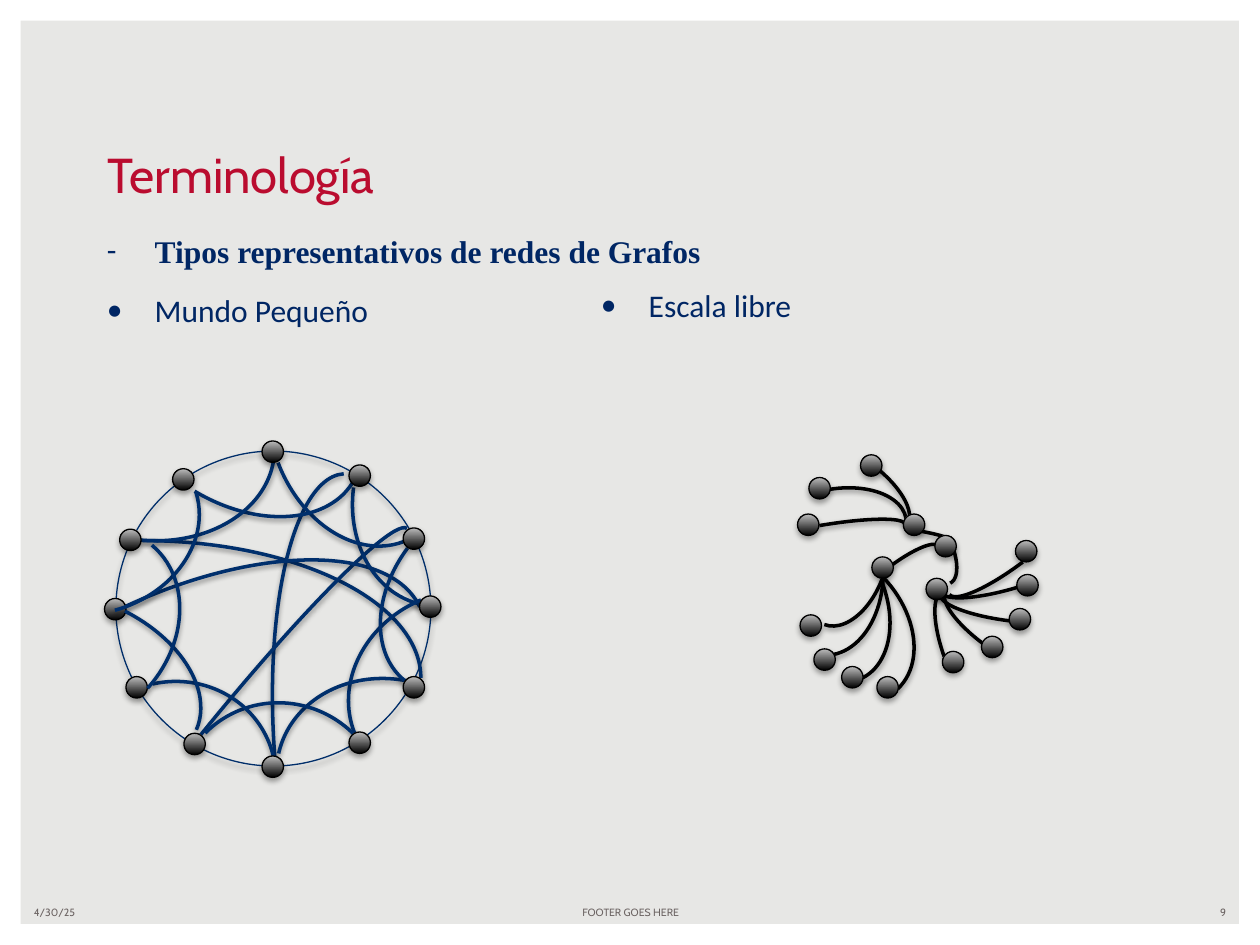
from lxml import etree
from pptx import Presentation
from pptx.dml.color import RGBColor
from pptx.enum.shapes import MSO_SHAPE
from pptx.enum.text import MSO_ANCHOR, PP_ALIGN
from pptx.oxml.ns import qn
from pptx.util import Cm, Pt

ARC, OVAL, FRAME = MSO_SHAPE.ARC, MSO_SHAPE.OVAL, MSO_SHAPE.FRAME
LEFT, CENTER, RIGHT, JUSTIFY = PP_ALIGN.LEFT, PP_ALIGN.CENTER, PP_ALIGN.RIGHT, PP_ALIGN.JUSTIFY
TOP, MIDDLE, BOTTOM = MSO_ANCHOR.TOP, MSO_ANCHOR.MIDDLE, MSO_ANCHOR.BOTTOM

NAVY, RED, GREY = "002664", "BA0C2F", "6C6463"
RING_BLUE, ARC_BLUE, BLACK = "002E6A", "002F6C", "000000"
NODE_SIZE = 0.17

# Boxes are left, top, width, height in inches.
TITLE = ("Terminología", (0.75, 1.09, 8.5, 0.57))
HEADING = dict(text="Tipos representativos de redes de Grafos", bullet="-", align=JUSTIFY,
               spacing=1.15, font=dict(name="Times New Roman", bold=True))
SMALL_WORLD = dict(text="Mundo Pequeño", bullet="•")
SCALE_FREE = dict(text="Escala libre", bullet="•")
COLUMNS = [  # box, top inset, paragraphs
    ((0.75, 1.75, 5.17, 5), 0.05, [HEADING, SMALL_WORLD]),
    ((4.67, 1.75, 5.17, 5), 0.52, [SCALE_FREE]),
]
FOOTERS = [
    ("4/30/25", (0.17, 7.14, 2.33, 0.2), LEFT),
    ("FOOTER GOES HERE", (3.42, 7.14, 3.17, 0.2), CENTER),
    ("9", (7.5, 7.14, 2.33, 0.2), RIGHT),
]

# Arcs: box, rotation, then start and end adjustments where they differ from a quarter turn.
RING = (0.92, 3.58, 2.5, 2.5)
LONG_TURN = (162, 2.03)
RING_ARCS = [
    ((-1.08, 4.29, 4.42, 2.18), 0),
    ((0.73, 5.2, 4.28, 1.39), 266.2, (158.82, 0)),
    ((-0.58, 5.77, 4.68, 0.49), 308.9),
    ((-0.7, 4.72, 4.23, 1.98), 335),
    ((2.8, 3.11, 1.39, 1.7), 187.6),
    ((2.16, 2.48, 1.42, 1.88), 159.2),
    ((1.2, 2.25, 1.42, 2.08), 121),
    ((0.42, 2.53, 1.53, 1.99), 95.7, LONG_TURN),
    ((2.86, 4.59, 1.57, 1.79), 247.2),
    ((2.3, 5.28, 1.57, 1.79), 282.6),
    ((3.11, 3.87, 1.25, 1.71), 216.8),
    ((1.4, 5.57, 1.65, 1.68), 314.8),
    ((0.57, 5.41, 1.62, 1.55), 347.5),
]
FRONT_ARCS = [
    ((0.04, 3.31, 1.4, 1.71), 72.4, LONG_TURN),
    ((-0.33, 4.76, 1.97, 1.28), 23.5, (166.82, 0)),
    ((-0.04, 4.13, 1.4, 1.71), 39.7, LONG_TURN),
]
HUB_ARCS = [
    ((5.85, 4.17, 1.34, 0.2), 350.4),
    ((6.07, 3.88, 1.13, 0.66), 350.4),
    ((5.9, 4.09, 1.31, 0.91), 90),
    ((5.92, 4.33, 1.31, 0.91), 67.6),
    ((5.91, 4.42, 1.44, 1.05), 46.6),
    ((7.46, 4.65, 1.16, 0.28), 186.9),
    ((7.44, 4.37, 1.24, 0.29), 162.7),
    ((7.41, 4.2, 1.24, 0.29), 142.9),
    ((6.36, 3.67, 0.94, 0.41), 38.4),
    ((6.22, 4.19, 1, 0.6), 110.8),
    ((7.41, 4.84, 0.97, 0.3), 216.5),
    ((7.15, 5.01, 0.97, 0.3), 250.4),
    ((6.68, 4.49, 0.85, 0.2), 322.6),
    ((6.87, 4.2, 0.66, 0.07), 8),
    ((7.09, 4.2, 0.63, 0.29), 64.2),
]
HUB_NODES = [
    (7.42, 4.25), (7.17, 4.08), (6.92, 4.42), (6.35, 4.88), (6.46, 5.15), (6.68, 5.29),
    (6.96, 5.37), (7.48, 5.17), (7.79, 5.05), (8.01, 4.83), (8.07, 4.56), (8.06, 4.29),
    (7.35, 4.59), (6.33, 4.08), (6.42, 3.79), (6.83, 3.61),
]
RING_NODES = [
    (2.08, 3.5), (2.77, 3.69), (1.37, 3.72), (1.46, 5.82), (2.77, 5.81), (0.83, 4.75),
    (0.95, 4.2), (3.33, 4.73), (2.08, 6), (3.2, 5.37), (3.2, 4.19), (1, 5.37),
]


def length(inches):
    return Cm(inches * 2.54)


def lengths(box):
    return [length(side) for side in box]


def color(hex_value):
    return RGBColor.from_string(hex_value)


def add_shadow(shape, opacity, distance):
    """Add a soft shadow straight below; opacity in percent, distance in points."""
    shape.shadow.inherit = False
    effects = shape._element.spPr.find(qn("a:effectLst"))
    outer = etree.SubElement(effects, qn("a:outerShdw"), blurRad=str(Pt(3.1)),
                             dist=str(Pt(distance)), dir="5400000", rotWithShape="0")
    tint = etree.SubElement(outer, qn("a:srgbClr"), val=BLACK)
    etree.SubElement(tint, qn("a:alpha"), val=str(opacity * 1000))


def add_outline(shapes, kind, box, line_color, width):
    shape = shapes.add_shape(kind, *lengths(box))
    shape.fill.background()
    shape.line.color.rgb = color(line_color)
    shape.line.width = Pt(width)
    return shape


def add_arcs(shapes, arcs, line_color):
    for box, rotation, *turn in arcs:
        arc = add_outline(shapes, ARC, box, line_color, 2)
        arc.rotation = rotation
        for start_end in turn:
            arc.adjustments[0], arc.adjustments[1] = start_end
        add_shadow(arc, 38, 1.6)


def add_nodes(shapes, places):
    for left, top in places:
        node = add_outline(shapes, OVAL, (left, top, NODE_SIZE, NODE_SIZE), BLACK, 0.75)
        node.fill.gradient()
        node.fill.gradient_angle = 90
        for stop, position, shade in zip(node.fill.gradient_stops, (0, 1), (BLACK, "BDBDBD")):
            stop.position = position
            stop.color.rgb = color(shade)
        add_shadow(node, 35, 1.8)


def write(paragraph, text, size, text_color, **font):
    run = paragraph.add_run()
    run.text = text
    run.font.color.rgb = color(text_color)
    for key, value in dict(font, size=Pt(size)).items():
        setattr(run.font, key, value)


def add_text_frame(slide, box, anchor):
    frame = slide.shapes.add_textbox(*lengths(box)).text_frame
    frame.word_wrap = True
    frame.vertical_anchor = anchor
    return frame


def write_bullet(paragraph, text, bullet, align=LEFT, spacing=1.0, font=None):
    paragraph.alignment = align
    paragraph.line_spacing = spacing
    paragraph.space_after = Pt(12)
    properties = paragraph._p.get_or_add_pPr()
    properties.set("marL", str(length(0.38)))
    properties.set("indent", str(-length(0.38)))
    etree.SubElement(properties, qn("a:buFont"), typeface="Calibri")
    etree.SubElement(properties, qn("a:buChar"), char=bullet)
    write(paragraph, text, 18, NAVY, **(font or dict(name="Calibri")))


def main():
    deck = Presentation()
    deck.slide_width, deck.slide_height = lengths((10, 7.5))
    slide = deck.slides.add_slide(deck.slide_layouts[5])
    slide.background.fill.solid()
    slide.background.fill.fore_color.rgb = color("E7E7E5")

    border = slide.shapes.add_shape(FRAME, 0, 0, deck.slide_width, deck.slide_height)
    border.adjustments[0] = 0.022
    border.fill.solid()
    border.fill.fore_color.rgb = color("FFFFFF")
    border.line.fill.background()
    border.shadow.inherit = False

    title = slide.shapes.title
    title_text, title_box = TITLE
    title.left, title.top, title.width, title.height = lengths(title_box)
    title.text_frame.vertical_anchor = BOTTOM
    heading = title.text_frame.paragraphs[0]
    heading.alignment = LEFT
    write(heading, title_text, 28, RED, name="Cabin")

    for box, inset, bullets in COLUMNS:
        frame = add_text_frame(slide, box, TOP)
        frame.margin_top = length(inset)
        for index, bullet in enumerate(bullets):
            write_bullet(frame.add_paragraph() if index else frame.paragraphs[0], **bullet)

    for text, box, align in FOOTERS:
        footer = add_text_frame(slide, box, MIDDLE).paragraphs[0]
        footer.alignment = align
        write(footer, text, 6, GREY, name="Cabin")

    add_shadow(add_outline(slide.shapes, OVAL, RING, RING_BLUE, 0.75), 35, 1.8)
    add_arcs(slide.shapes, RING_ARCS, ARC_BLUE)
    hubs = slide.shapes.add_group_shape().shapes
    add_arcs(hubs, HUB_ARCS, BLACK)
    add_nodes(hubs, HUB_NODES)
    add_nodes(slide.shapes, RING_NODES)
    add_arcs(slide.shapes, FRONT_ARCS, ARC_BLUE)

    deck.save("out.pptx")


if __name__ == "__main__":
    main()
